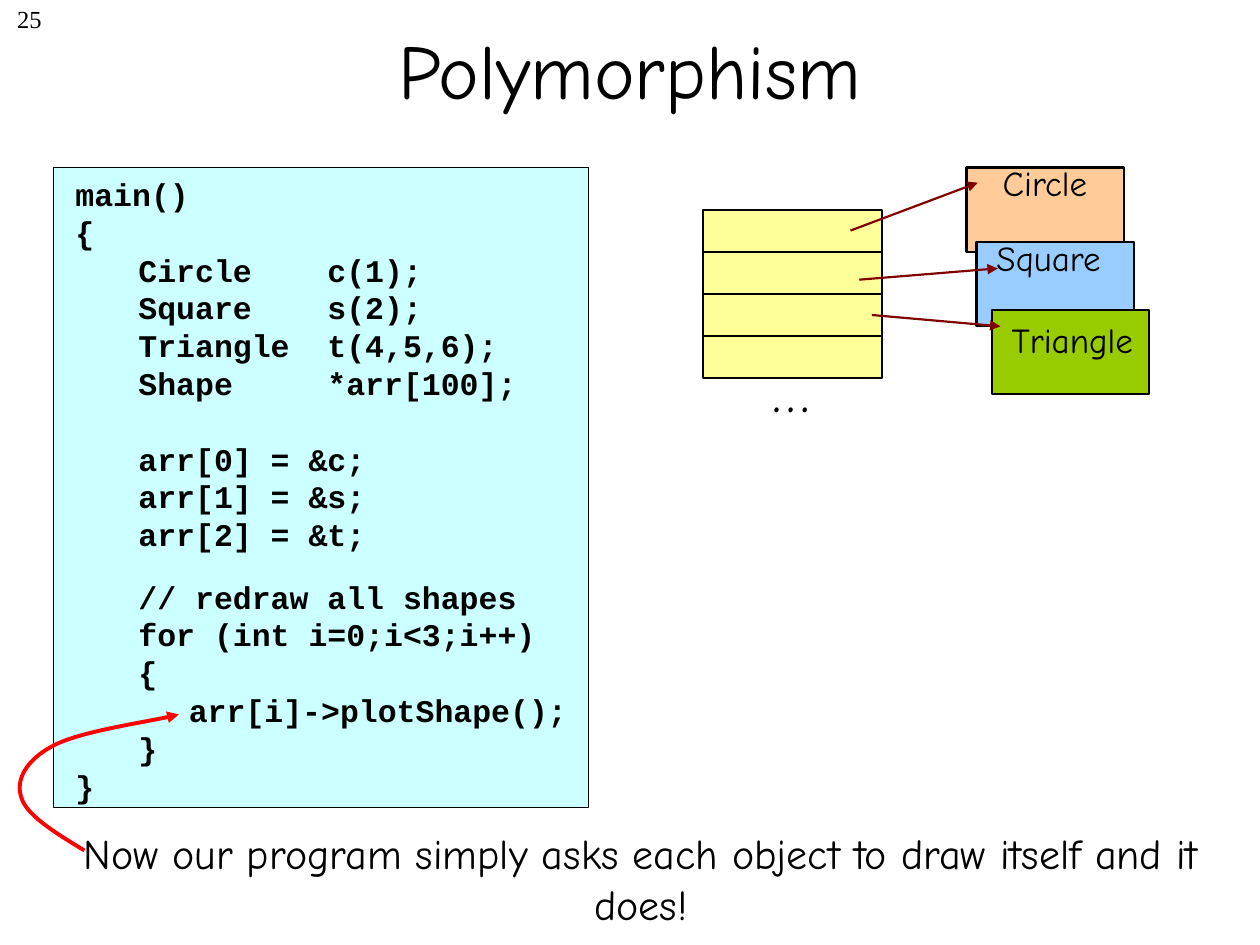
from typing import NamedTuple

from lxml.etree import SubElement
from pptx import Presentation
from pptx.dml.color import RGBColor
from pptx.enum.shapes import MSO_CONNECTOR, MSO_SHAPE
from pptx.enum.text import MSO_ANCHOR, PP_ALIGN
from pptx.oxml.ns import qn
from pptx.util import Inches, Pt

COLORS = {
    "ink": "000000", "code": "CCFFFF", "cell": "FFFF99", "circle": "FFCC99",
    "square": "99CCFF", "triangle": "99CC00", "link": "800000", "curve": "FF0000",
}
HAND = "Comic Neue"
BODY = {"name": HAND, "size": Pt(24)}
LABEL = {"name": HAND, "size": Pt(20)}
CODE = {"name": "Courier New", "size": Pt(18), "bold": True}


class Box(NamedTuple):
    left: float
    top: float
    width: float
    height: float


class Line(NamedTuple):
    text: str
    indent: float = 0.5
    gap: float = 0  # points above the line


class Item(NamedTuple):
    name: str
    box: Box
    label: tuple[float, float]
    start: tuple[float, float]
    end: tuple[float, float]


LINES = [
    Line("main()"),
    Line("{"),
    Line("Circle\t\tc(1);", 1),
    Line("Square\t\ts(2);", 1),
    Line("Triangle\tt(4,5,6);", 1),
    Line("Shape\t\t*arr[100];", 1),
    Line("arr[0] = &c;", 1, 21.6),
    Line("arr[1] = &s;", 1),
    Line("arr[2] = &t;", 1),
    Line("// redraw all shapes", 1, 14),
    Line("for (int i=0;i<3;i++)", 1),
    Line("{", 1),
    Line("arr[i]->plotShape();", 1.4),
    Line("}", 1),
    Line("}"),
]
ITEMS = [
    Item("Circle", Box(7.67, 1.33, 1.25, 0.67), (7.86, 1.23), (6.75, 1.83), (7.76, 1.45)),
    Item("Square", Box(7.75, 1.92, 1.25, 0.67), (7.81, 1.83), (6.82, 2.22), (7.92, 2.13)),
    Item("Triangle", Box(7.87, 2.46, 1.25, 0.67), (7.93, 2.48), (6.92, 2.5), (7.94, 2.59)),
]
CURVE = [
    (0.67, 6.75), (0.44, 6.61), (0.21, 6.47), (0.17, 6.33), (0.12, 6.19),
    (0.21, 6.03), (0.42, 5.92), (0.62, 5.81), (1.29, 5.71), (1.42, 5.67),
]

deck = Presentation()
deck.slide_width, deck.slide_height = Inches(10), Inches(7.5)
slide = deck.slides.add_slide(deck.slide_layouts[6])
shapes = slide.shapes


def color(name: str) -> RGBColor:
    return RGBColor.from_string(COLORS[name])


def add_rect(box: Box, fill: str, width: float) -> None:
    rect = shapes.add_shape(MSO_SHAPE.RECTANGLE, *map(Inches, box))
    rect.shadow.inherit = False
    rect.fill.solid()
    rect.fill.fore_color.rgb = color(fill)
    rect.line.color.rgb = color("ink")
    rect.line.width = Pt(width)


def add_text(box: Box, lines: list[Line], style: dict, align=PP_ALIGN.CENTER,
             wrap: bool = True, anchor=MSO_ANCHOR.TOP, pitch: float | None = None) -> None:
    frame = shapes.add_textbox(*map(Inches, box)).text_frame
    frame.word_wrap = wrap
    frame.vertical_anchor = anchor
    for i, line in enumerate(lines):
        para = frame.add_paragraph() if i else frame.paragraphs[0]
        para.alignment = align
        if pitch:
            para.line_spacing = Pt(pitch)
        if line.gap:
            para.space_before = Pt(line.gap)
        if line.indent:
            props = para._p.get_or_add_pPr()
            props.set("marL", str(Inches(line.indent)))
            props.set("indent", "0")
        run = para.add_run()
        run.text = line.text
        run.font.color.rgb = color("ink")
        for key, value in style.items():
            setattr(run.font, key, value)


def style_arrow(shape, tint: str, width: float) -> None:
    shape.line.color.rgb = color(tint)
    shape.line.width = Pt(width)
    SubElement(shape.line._get_or_add_ln(), qn("a:tailEnd"), type="triangle")


def add_arrow(start: tuple[float, float], end: tuple[float, float]) -> None:
    link = shapes.add_connector(MSO_CONNECTOR.STRAIGHT, *map(Inches, start + end))
    style_arrow(link, "link", 1.25)
    SubElement(link._element.spPr, qn("a:effectLst"))


def add_curve(points: list[tuple[float, float]]) -> None:
    spots = [(Inches(x), Inches(y)) for x, y in points]
    form = shapes.build_freeform(*spots[0])
    form.add_line_segments(spots[1:], close=False)
    curve = form.convert_to_shape()
    curve.shadow.inherit = False
    curve.fill.background()
    style_arrow(curve, "curve", 2.25)
    # Each three points make one cubic segment
    steps = list(curve._element.iter(qn("a:lnTo")))
    for i in range(0, len(steps), 3):
        parent = steps[i].getparent()
        cubic = SubElement(parent, qn("a:cubicBezTo"))
        for step in steps[i:i + 3]:
            cubic.append(step[0])
            parent.remove(step)


# Page number and title
add_text(Box(0, -0.02, 0.43, 0.5), [Line("25", 0)],
         {"name": "Times New Roman", "size": Pt(14)}, PP_ALIGN.RIGHT, False)
add_text(Box(0.75, -0.08, 8.5, 1.25), [Line("Polymorphism", 0)],
         {"name": HAND, "size": Pt(44)}, anchor=MSO_ANCHOR.MIDDLE)

# Code panel
add_rect(Box(0.42, 1.33, 4.25, 5.08), "code", 0.25)
add_text(Box(0, 1.34, 4.92, 5.51), LINES, CODE, PP_ALIGN.LEFT, pitch=21.6)

# Closing remark and its curved arrow
add_text(Box(0.42, 6.52, 9.33, 0.91),
         [Line("Now our program simply asks each object to draw itself and it does!", 0)], BODY)
add_curve(CURVE)

# Array cells
for row in range(4):
    add_rect(Box(5.58, 1.67 + row / 3, 1.42, 0.33), "cell", 1.25)
add_text(Box(6.03, 2.78, 0.5, 0.63), [Line("…", 0)],
         {"name": HAND, "size": Pt(32)}, wrap=False)

# Objects that the cells point to
for item in ITEMS:
    add_rect(item.box, item.name.lower(), 1.25)
    add_arrow(item.start, item.end)
    add_text(Box(*item.label, 1.25, 0.43), [Line(item.name, 0)], LABEL, PP_ALIGN.LEFT)

deck.save("out.pptx")
